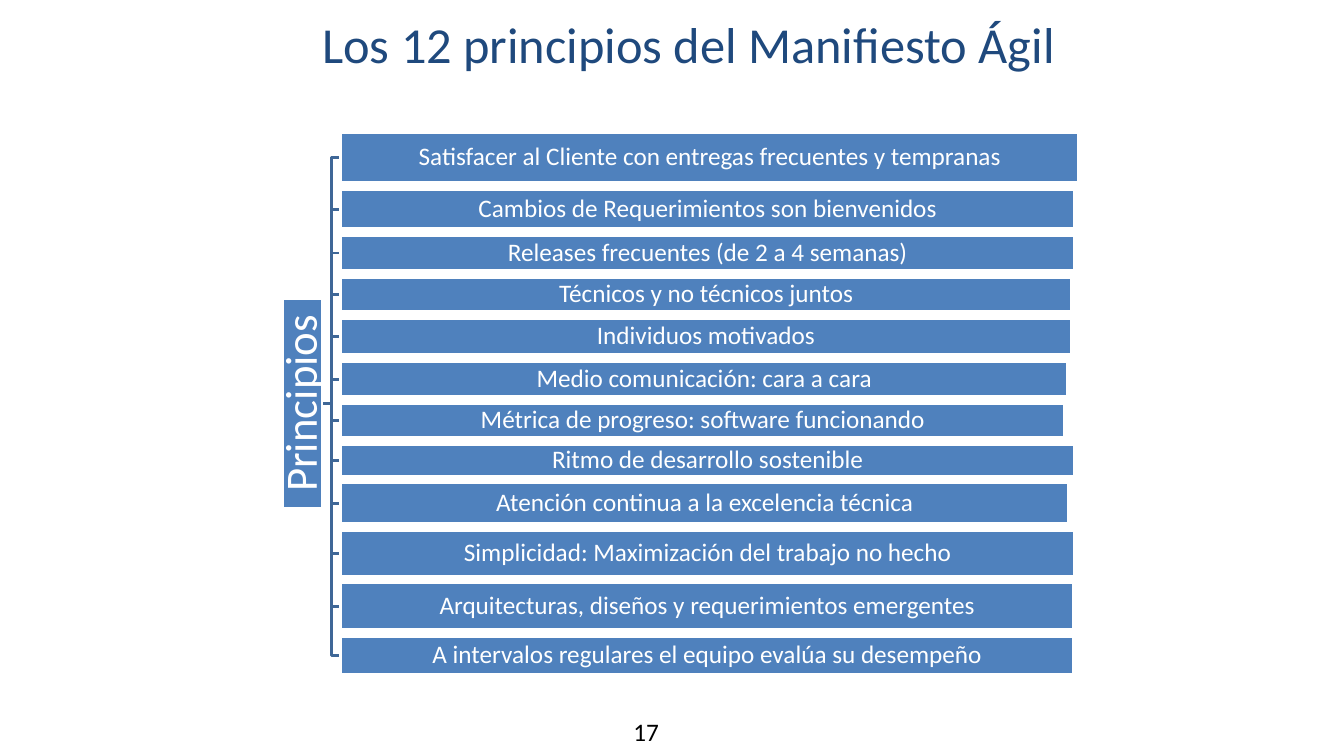
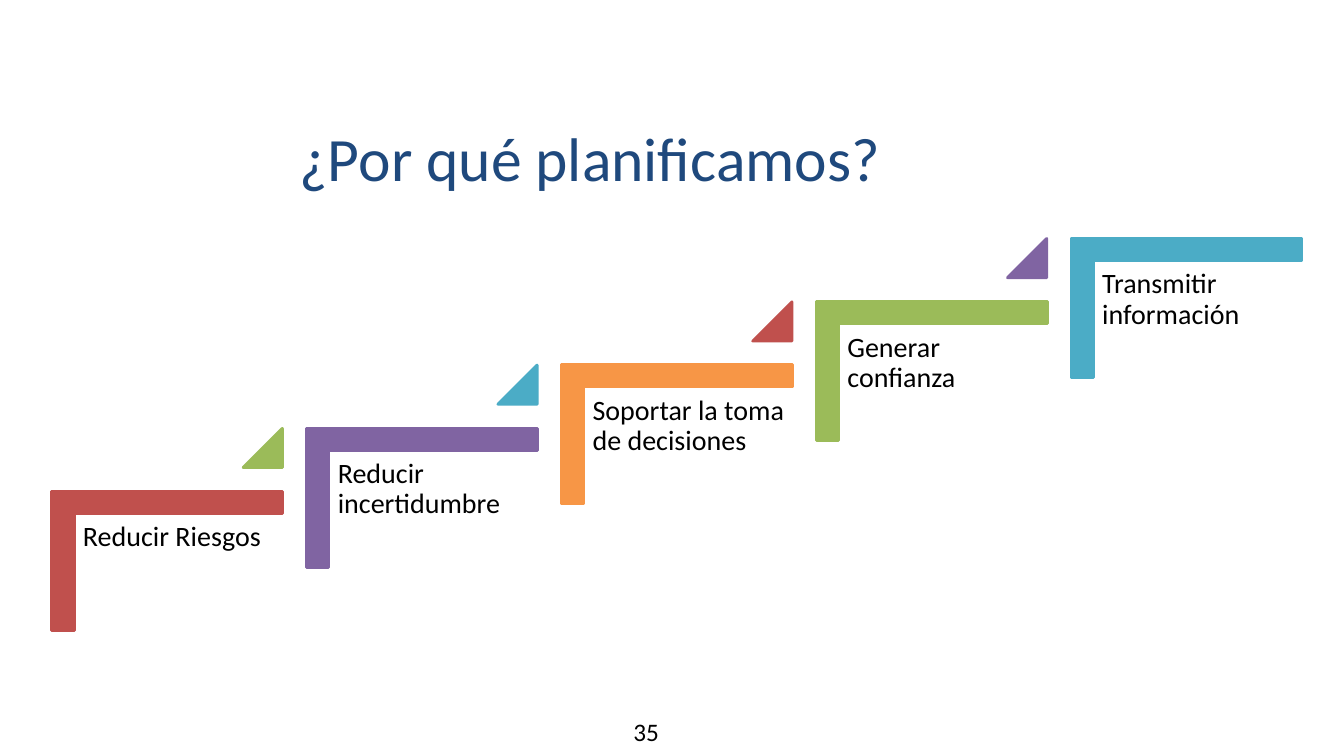
"""Build two slides: the agile principles tree and the planning staircase."""
from pptx import Presentation
from pptx.dml.color import RGBColor as RGB
from pptx.enum.shapes import MSO_SHAPE as SHAPE
from pptx.enum.text import MSO_ANCHOR as ANCHOR, MSO_AUTO_SIZE as AUTO, PP_ALIGN as ALIGN
from pptx.util import Pt

NAVY, BLUE, EDGE = RGB(0x1F, 0x49, 0x7D), RGB(0x4F, 0x81, 0xBD), RGB(0x3F, 0x67, 0x97)
RED, GREEN, PURPLE = RGB(0xC0, 0x50, 0x4D), RGB(0x9B, 0xBB, 0x59), RGB(0x80, 0x64, 0xA2)
TEAL, ORANGE = RGB(0x4B, 0xAC, 0xC6), RGB(0xF7, 0x96, 0x46)
WHITE, BLACK = RGB(255, 255, 255), RGB(0, 0, 0)
FONT = "Calibri"

PRINCIPLES = [
    ("Satisfacer al Cliente con entregas frecuentes y tempranas", 527, 36),
    ("Cambios de Requerimientos son bienvenidos", 524, 28),
    ("Releases frecuentes (de 2 a 4 semanas)", 524, 24.5),
    ("Técnicos y no técnicos juntos", 522, 24.5),
    ("Individuos motivados", 521.5, 26),
    ("Medio comunicación: cara a cara", 519, 25),
    ("Métrica de progreso: software funcionando", 517, 24),
    ("Ritmo de desarrollo sostenible", 524, 22.5),
    ("Atención continua a la excelencia técnica", 520, 29),
    ("Simplicidad: Maximización del trabajo no hecho", 524, 32.5),
    ("Arquitecturas, diseños y requerimientos emergentes", 523.5, 33),
    ("A intervalos regulares el equipo evalúa su desempeño", 523.5, 27),
]
ROW_LEFT, ROW_TOP, ROW_GAP = 243.5, 94.5, 5
ROOT_RIGHT, TRUNK, ROOT_Y = 230.5, 237, 288

REASONS = [
    ("Reducir Riesgos", RED, GREEN),
    ("Reducir incertidumbre", PURPLE, TEAL),
    ("Soportar la toma de decisiones", ORANGE, RED),
    ("Generar confianza", GREEN, PURPLE),
    ("Transmitir información", TEAL, None),
]
STEP_X, STEP_Y = 182, -45.2


def write(s, text, size, color, align=ALIGN.LEFT, anchor=ANCHOR.TOP, inset=0.0, spacing=None):
    """Put one formatted paragraph in a shape."""
    tf = s.text_frame
    frame = dict(word_wrap=True, auto_size=AUTO.NONE, vertical_anchor=anchor)
    frame.update({f"margin_{side}": Pt(inset) for side in ("left", "top", "right", "bottom")})
    for name, value in frame.items():
        setattr(tf, name, value)
    p = tf.paragraphs[0]
    p.alignment, p.line_spacing = align, spacing
    r = p.add_run()
    r.text = text
    for name, value in dict(name=FONT, size=Pt(size)).items():
        setattr(r.font, name, value)
    r.font.color.rgb = color


def place(s, box):
    """Move a shape to left, top, width, height in points."""
    for name, value in zip(("left", "top", "width", "height"), box):
        setattr(s, name, Pt(value))


def textbox(slide, box, text, size, **fmt):
    """Add a black text box."""
    s = slide.shapes.add_textbox(*map(Pt, box))
    write(s, text, size, BLACK, **fmt)


def shape(slide, kind, box, fill, line, rotation=0, adjust=()):
    """Add a filled preset shape without shadow."""
    s = slide.shapes.add_shape(kind, *map(Pt, box))
    s.shadow.inherit = False
    s.rotation = rotation
    s.fill.solid()
    s.fill.fore_color.rgb = fill
    s.line.color.rgb = line
    s.line.width = Pt(2)
    for i, value in enumerate(adjust):
        s.adjustments[i] = value
    return s


def label(slide, box, text, size, inset, rotation=0):
    """Add a blue box with centred white text."""
    s = shape(slide, SHAPE.RECTANGLE, box, BLUE, WHITE, rotation)
    write(s, text, size, WHITE, ALIGN.CENTER, ANCHOR.MIDDLE, inset, 0.9)


def branch(slide, y):
    """Draw the elbow line from the root to a row."""
    fb = slide.shapes.build_freeform(Pt(ROOT_RIGHT), Pt(ROOT_Y))
    points = [(TRUNK, ROOT_Y), (TRUNK, y), (ROW_LEFT, y)]
    fb.add_line_segments([(Pt(a), Pt(b)) for a, b in points], close=False)
    s = fb.convert_to_shape()
    s.shadow.inherit = False
    s.fill.background()
    s.line.color.rgb = EDGE
    s.line.width = Pt(2)


def new_slide(prs, title, left, top, size, number):
    """Add a slide with its title and page number."""
    slide = prs.slides.add_slide(prs.slide_layouts[5])
    place(slide.shapes.title, (left, top, 741, 110))
    write(slide.shapes.title, title, size, NAVY, ALIGN.CENTER)
    textbox(slide, (452.5, 512, 40, 22), number, 18)
    return slide


def principles(prs):
    """Build the tree of principles."""
    slide = new_slide(prs, "Los 12 principios del Manifiesto Ágil", 121.5, 9.5, 36, "17")
    rows, y = [], ROW_TOP
    for text, width, height in PRINCIPLES:
        rows.append((text, (ROW_LEFT, y, width, height)))
        y += height + ROW_GAP
    for _, (_, top, _, height) in rows:
        branch(slide, top + height / 2)
    label(slide, (141, 274, 150, 28), "Principios", 32, 1.5, 270)
    for text, box in rows:
        label(slide, box, text, 18, 0.8)


def staircase(prs):
    """Build the rising steps of reasons."""
    slide = new_slide(prs, "¿Por qué planificamos?", 51, 85.5, 44, "35")
    for i, (text, color, next_color) in enumerate(REASONS):
        dx, dy = i * STEP_X, i * STEP_Y
        shape(slide, SHAPE.CORNER, (69.8 + dx, 318.2 + dy, 99.4, 165), color, color, 90, (0.16, 0.16))
        textbox(slide, (53.3 + dx, 367.4 + dy, 149, 130), text, 20, inset=6, spacing=0.9)
        if next_color:
            shape(slide, SHAPE.ISOSCELES_TRIANGLE, (173.7 + dx, 306 + dy, 28, 28),
                  next_color, next_color, adjust=(1,))


def main():
    """Make the presentation."""
    prs = Presentation()
    prs.slide_width, prs.slide_height = Pt(960), Pt(540)
    principles(prs)
    staircase(prs)
    prs.save("out.pptx")


if __name__ == "__main__":
    main()
